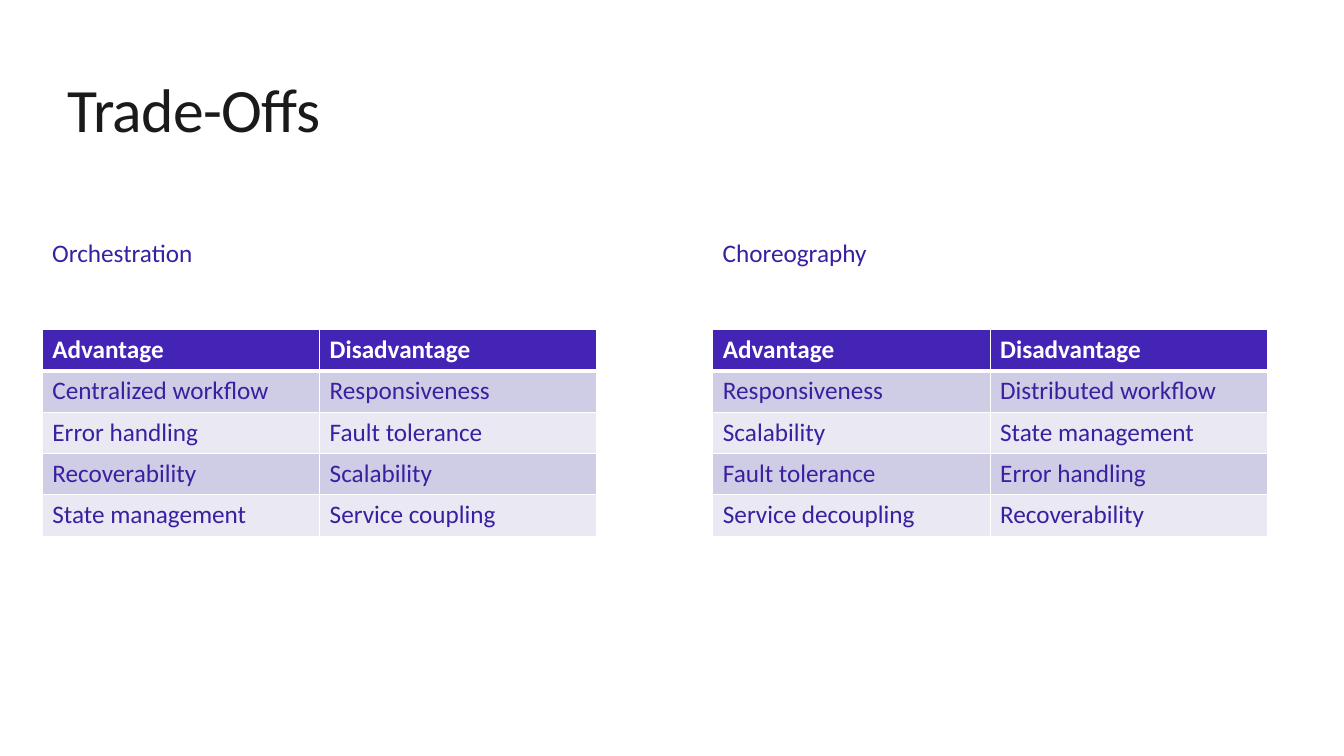
from dataclasses import dataclass

from lxml import etree
from pptx import Presentation
from pptx import util as u
from pptx.dml.color import RGBColor
from pptx.enum import text
from pptx.oxml.ns import qn

FONT = "Calibri"
COLORS = {
    "title": "1A1A1A",
    "body": "3A20A0",
    "header": "4424B5",
    "band_dark": "CFCDE5",
    "band_light": "E9E8F3",
    "white": "FFFFFF",
}
TABLE_WIDTH, ROW_HEIGHT = 5.5, 0.41
LABEL_TOP, TABLE_TOP = 2.31, 3.27


@dataclass
class Style:
    name: str
    left: float
    rows: list[tuple[str, str]]


HEADER = ("Advantage", "Disadvantage")
STYLES = [
    Style("Orchestration", 0.42, [
        ("Centralized workflow", "Responsiveness"),
        ("Error handling", "Fault tolerance"),
        ("Recoverability", "Scalability"),
        ("State management", "Service coupling"),
    ]),
    Style("Choreography", 7.07, [
        ("Responsiveness", "Distributed workflow"),
        ("Scalability", "State management"),
        ("Fault tolerance", "Error handling"),
        ("Service decoupling", "Recoverability"),
    ]),
]


def write(tf, words: str, size: float, color: str, bold: bool = False):
    """Fill a text frame with one formatted run and return the run."""
    tf.text = words
    r = tf.paragraphs[0].runs[0]
    r.font.name, r.font.size, r.font.bold = FONT, u.Pt(size), bold
    r.font.color.rgb = RGBColor.from_string(COLORS[color])
    return r


def set_borders(cell, top: float, bottom: float) -> None:
    """Draw white cell borders; widths are in points."""
    tcPr = cell._tc.get_or_add_tcPr()
    for side, width in (("L", 1), ("R", 1), ("T", top), ("B", bottom)):
        ln = etree.SubElement(tcPr, qn(f"a:ln{side}"), w=str(u.Pt(width)))
        fill = etree.SubElement(ln, qn("a:solidFill"))
        etree.SubElement(fill, qn("a:srgbClr"), val=COLORS["white"])


def add_title(s, words: str) -> None:
    sp = s.shapes.title
    sp.left, sp.top = u.Inches(0.67), u.Inches(0.67)
    sp.width, sp.height = u.Inches(12), u.Inches(0.9)
    tf = sp.text_frame
    tf.margin_left = tf.margin_right = tf.margin_top = tf.margin_bottom = 0
    tf.vertical_anchor = text.MSO_ANCHOR.MIDDLE
    r = write(tf, words, 44, "title")
    r._r.get_or_add_rPr().set("spc", "-50")
    p = tf.paragraphs[0]
    p.alignment, p.line_spacing = text.PP_ALIGN.LEFT, 0.9


def add_label(s, style: Style) -> None:
    sp = s.shapes.add_textbox(u.Inches(style.left), u.Inches(LABEL_TOP),
                              u.Inches(TABLE_WIDTH), u.Inches(0.4))
    tf = sp.text_frame
    write(tf, style.name, 18, "body")
    tf.word_wrap = True
    tf.auto_size = text.MSO_AUTO_SIZE.SHAPE_TO_FIT_TEXT


def add_trade_offs(s, style: Style) -> None:
    rows = [HEADER, *style.rows]
    table = s.shapes.add_table(
        len(rows), len(HEADER), u.Inches(style.left), u.Inches(TABLE_TOP),
        u.Inches(TABLE_WIDTH), u.Inches(ROW_HEIGHT * len(rows))).table
    for i, row in enumerate(rows):
        table.rows[i].height = u.Inches(ROW_HEIGHT)
        is_header = i == 0
        band = "header" if is_header else "band_dark" if i % 2 else "band_light"
        for j, words in enumerate(row):
            cell = table.cell(i, j)
            write(cell.text_frame, words, 18,
                  "white" if is_header else "body", is_header)
            # A thick rule separates the header from the body
            set_borders(cell, 3 if i == 1 else 1, 3 if is_header else 1)
            cell.fill.solid()
            cell.fill.fore_color.rgb = RGBColor.from_string(COLORS[band])


def main() -> None:
    prs = Presentation()
    prs.slide_width, prs.slide_height = u.Inches(13.33), u.Inches(7.5)
    s = prs.slides.add_slide(prs.slide_layouts[5])

    # Title
    add_title(s, "Trade-Offs")

    # One table with its label per coordination style
    for style in STYLES:
        add_trade_offs(s, style)
        add_label(s, style)

    prs.save("out.pptx")


if __name__ == "__main__":
    main()
